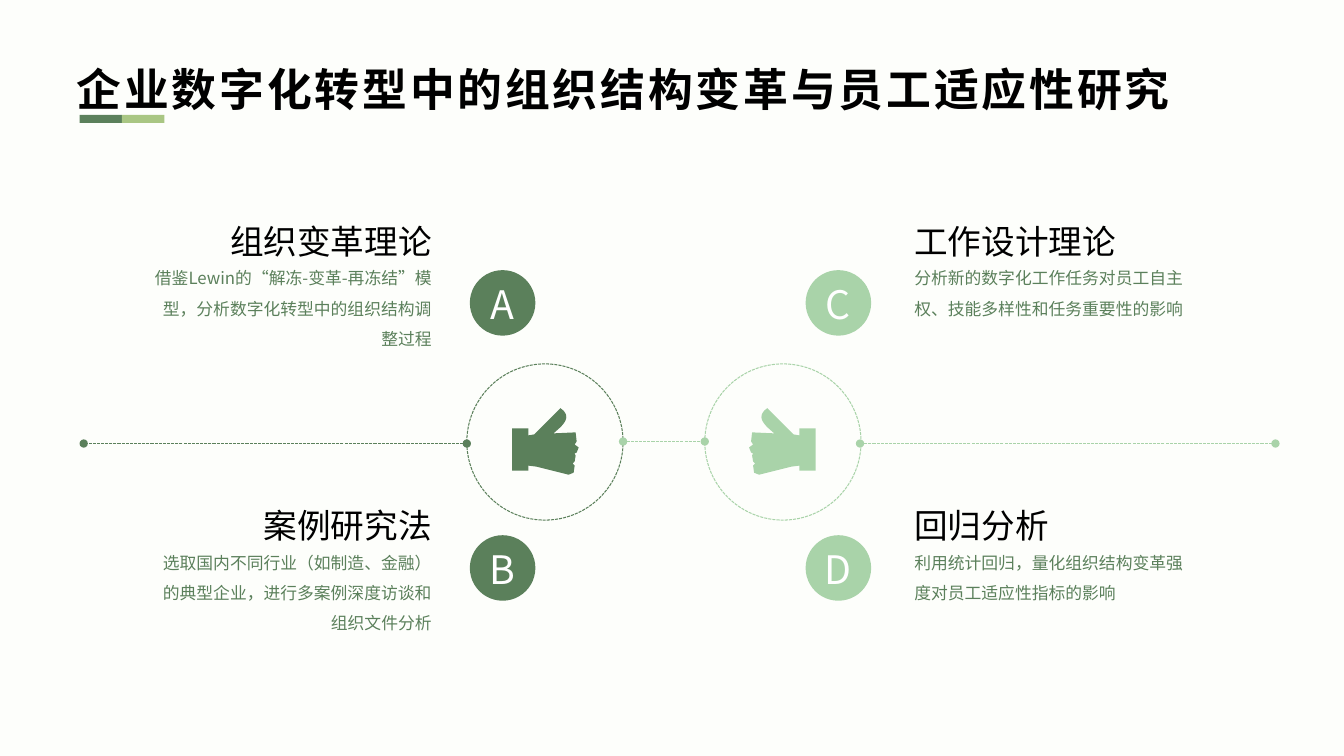
from dataclasses import dataclass

from lxml.etree import SubElement
from pptx import Presentation
from pptx.dml.color import RGBColor
from pptx.enum.dml import MSO_LINE
from pptx.enum.shapes import MSO_CONNECTOR, MSO_SHAPE
from pptx.enum.text import MSO_ANCHOR, MSO_AUTO_SIZE, PP_ALIGN
from pptx.oxml.ns import qn
from pptx.util import Inches, Pt


@dataclass(frozen=True)
class Theme:
    font: str = "Noto Sans CJK SC"
    back: str = "FDFEFB"
    dark: str = "5B805B"
    light: str = "A9D3A9"
    lime: str = "A9C683"
    black: str = "000000"
    white: str = "FFFFFF"
    title: int = 32
    badge: int = 28
    head: int = 24
    body: int = 12
    line: float = 0.75


THEME = Theme()
TITLE = "企业数字化转型中的组织结构变革与员工适应性研究"
# letter, heading, body, body height; two per side, top to bottom
SIDES = [
    [("A", "组织变革理论", "借鉴Lewin的“解冻-变革-再冻结”模型，分析数字化转型中的组织结构调整过程", 1.01),
     ("B", "案例研究法", "选取国内不同行业（如制造、金融）的典型企业，进行多案例深度访谈和组织文件分析", 1.01)],
    [("C", "工作设计理论", "分析新的数字化工作任务对员工自主权、技能多样性和任务重要性的影响", 0.71),
     ("D", "回归分析", "利用统计回归，量化组织结构变革强度对员工适应性指标的影响", 0.71)],
]
# per side: colour, text left, badge left, ring left, alignment
LOOKS = [
    (THEME.dark, 1.4, 4.66, 4.63, PP_ALIGN.RIGHT),
    (THEME.light, 8.97, 7.99, 6.99, PP_ALIGN.LEFT),
]
ROWS = [(2.14, 2.68), (4.96, 5.31)]  # heading top, badge top
LINKS = [
    (6.18, 6.99, 4.38, THEME.light),
    (12.65, 8.53, 4.4, THEME.light),
    (4.63, 0.83, 4.4, THEME.dark),
]
RING, DISC = 1.55, 0.65
MIRROR = 13.17  # sum of the x values of a left point and its right twin
HAND = [
    (5.71, 4.29), (5.72, 4.38), (5.7, 4.41), (5.74, 4.44), (5.72, 4.49),
    (5.7, 4.5), (5.71, 4.52), (5.7, 4.58), (5.68, 4.6), (5.7, 4.62),
    (5.69, 4.69), (5.64, 4.71), (5.32, 4.63), (5.24, 4.62), (5.24, 4.67),
    (5.08, 4.67), (5.08, 4.25), (5.24, 4.25), (5.24, 4.32), (5.3, 4.31),
]
THUMB = [(5.56, 4.05), (5.69, 4.14), (5.57, 4.23), (5.49, 4.3)]  # Bézier


def paint(shape, color):
    shape.shadow.inherit = False
    shape.fill.solid()
    shape.fill.fore_color.rgb = RGBColor.from_string(color)
    shape.line.fill.background()


def dash(line, color):
    line.color.rgb = RGBColor.from_string(color)
    line.width = Pt(THEME.line)
    line.dash_style = MSO_LINE.SQUARE_DOT


def block(shapes, kind, box, color):
    shape = shapes.add_shape(kind, *map(Inches, box))
    paint(shape, color)
    return shape


def write(shapes, box, text, size, color, align=PP_ALIGN.LEFT, space=None,
          wrap=True, middle=False, bold=False, track=0):
    frame = shapes.add_textbox(*map(Inches, box)).text_frame
    frame.word_wrap = wrap
    frame.auto_size = MSO_AUTO_SIZE.SHAPE_TO_FIT_TEXT
    frame.vertical_anchor = MSO_ANCHOR.MIDDLE if middle else MSO_ANCHOR.TOP
    para = frame.paragraphs[0]
    para.alignment = align
    para.line_spacing = space
    run = para.add_run()
    run.text = text
    font = run.font
    font.size, font.bold, font.name = Pt(size), bold, THEME.font
    font.color.rgb = RGBColor.from_string(color)
    props = run._r.get_or_add_rPr()
    SubElement(props, qn("a:ea")).set("typeface", THEME.font)
    if track:
        props.set("spc", str(track * 100))


def link(shapes, start, end, y, color):
    """Dashed level line with a dot at each end."""
    wire = shapes.add_connector(MSO_CONNECTOR.STRAIGHT, Inches(start), Inches(y),
                                Inches(end), Inches(y))
    dash(wire.line, color)
    edge = wire.line._get_or_add_ln()
    for tag in ("a:headEnd", "a:tailEnd"):
        SubElement(edge, qn(tag)).set("type", "oval")
    SubElement(wire._element.spPr, qn("a:effectLst"))


def curve(points, steps=12):
    """Points along a cubic Bézier curve."""
    for step in range(steps + 1):
        t = step / steps
        parts = ((1 - t) ** 3, 3 * t * (1 - t) ** 2, 3 * t * t * (1 - t), t ** 3)
        yield tuple(sum(p * point[axis] for p, point in zip(parts, points))
                    for axis in (0, 1))


def hand(shapes, color, flip):
    spots = [(Inches(MIRROR - x if flip else x), Inches(y))
             for x, y in HAND + list(curve(THUMB))]
    path = shapes.build_freeform(*spots[0])
    path.add_line_segments(spots[1:], close=True)
    paint(path.convert_to_shape(), color)


def main():
    deck = Presentation()
    deck.slide_width, deck.slide_height = Inches(13.33), Inches(7.5)
    slide = deck.slides.add_slide(deck.slide_layouts[6])
    slide.background.fill.solid()
    slide.background.fill.fore_color.rgb = RGBColor.from_string(THEME.back)
    shapes = slide.shapes

    for color, _, _, left, _ in LOOKS:
        ring = block(shapes, MSO_SHAPE.OVAL, (left, 3.61, RING, RING), color)
        ring.fill.background()
        dash(ring.line, color)
    for start, end, y, color in LINKS:
        link(shapes, start, end, y, color)

    for side, (items, look) in enumerate(zip(SIDES, LOOKS)):
        color, left, disc, _, align = look
        hand(shapes, color, flip=side == 1)
        for (mark, head, body, tall), (top, high) in zip(items, ROWS):
            block(shapes, MSO_SHAPE.OVAL, (disc, high, DISC, DISC), color)
            write(shapes, (disc + 0.09, high + 0.05, 0.46, 0.57), mark, THEME.badge,
                  THEME.white, PP_ALIGN.CENTER, wrap=False, middle=True)
            write(shapes, (left, top, 2.98, 0.5), head, THEME.head, THEME.black, align)
            write(shapes, (left, top + 0.37, 2.98, tall), body, THEME.body,
                  THEME.dark, align, space=1.5)

    bar = shapes.add_group_shape().shapes
    for spot, color in enumerate((THEME.dark, THEME.lime)):
        block(bar, MSO_SHAPE.RECTANGLE, (0.79 + 0.42 * spot, 1.14, 0.42, 0.08), color)
    write(shapes, (0.66, 0.45, 12.02, 0.75), TITLE, THEME.title, THEME.black,
          space=1.2, middle=True, bold=True, track=2)
    deck.save("out.pptx")


if __name__ == "__main__":
    main()
